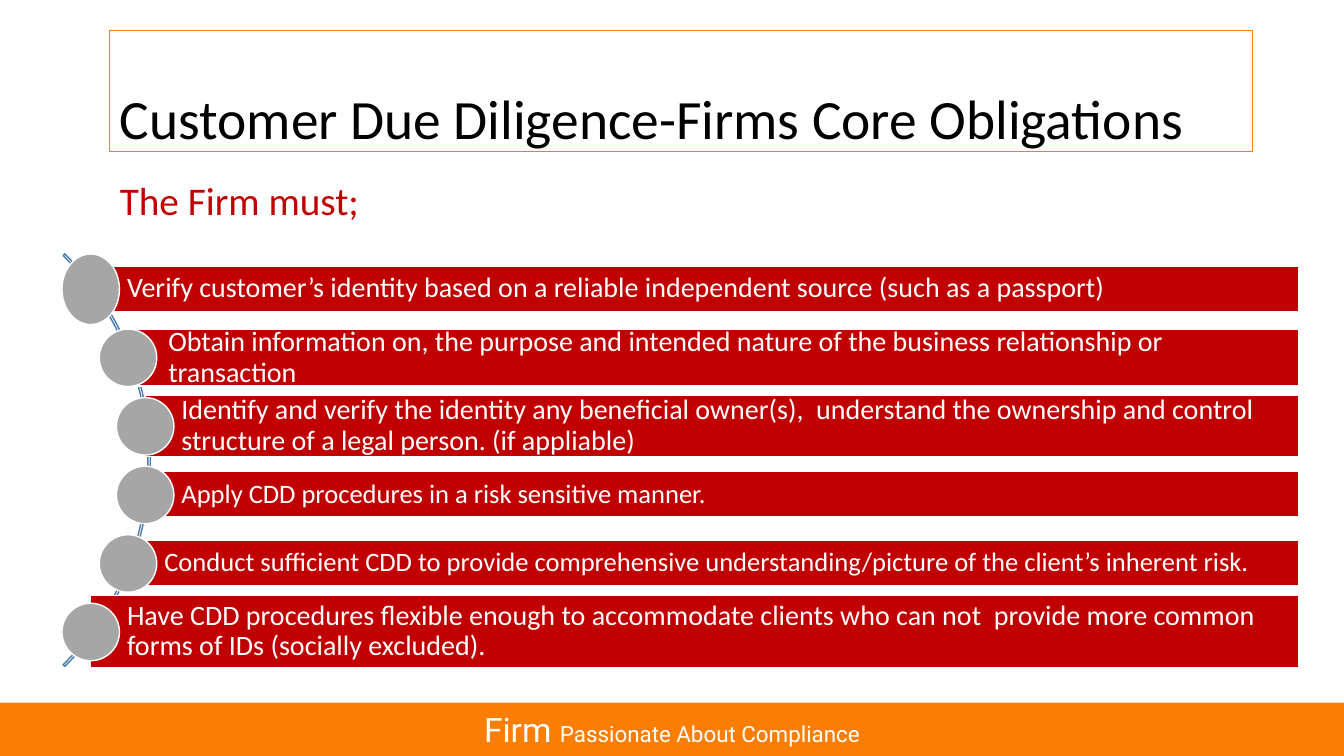
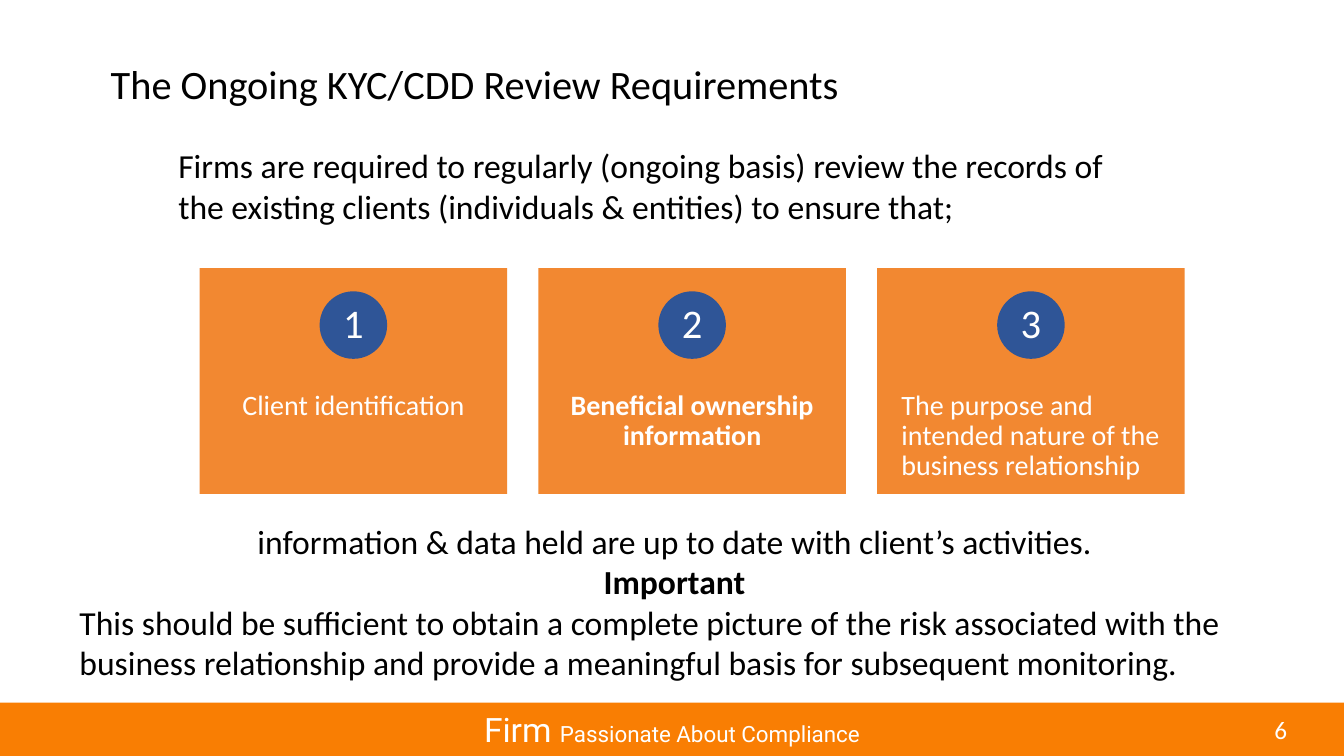
from lxml import etree
from pptx import Presentation
from pptx.dml.color import RGBColor
from pptx.enum.shapes import MSO_SHAPE
from pptx.enum.text import MSO_ANCHOR, PP_ALIGN
from pptx.oxml.ns import qn
from pptx.util import Inches, Pt

RECTANGLE, OVAL, ARC = MSO_SHAPE.RECTANGLE, MSO_SHAPE.OVAL, MSO_SHAPE.BLOCK_ARC
TOP, MIDDLE, BOTTOM = MSO_ANCHOR.TOP, MSO_ANCHOR.MIDDLE, MSO_ANCHOR.BOTTOM
LEFT, CENTER = PP_ALIGN.LEFT, PP_ALIGN.CENTER

COLORS = {
    "band": "F97E03", "bar": "C00000", "dot": "A6A6A6", "arc": "497CAB",
    "card": "F17C1B", "badge": "2F5597", "white": "FFFFFF", "black": "000000",
}
BODY_FONT, BRAND_FONT = "Calibri", "Roboto"
PAGE_WIDTH, PAGE_HEIGHT = 13.33, 7.5
BAND_TOP = 6.97
TEXT_INSETS = (0.1, 0.05, 0.1, 0.05)
BAR_INSETS = (0.36, 0.05, 0.06, 0.05)
CARD_INSETS = (0.24, 1.22, 0.24, 0)
NO_INSETS = (0, 0, 0, 0)

BAR_RIGHT = 12.88
DOT_SIZE, DOT_PITCH, FIRST_DOT_MIDDLE = 0.57, 0.68, 2.87
DOT_CENTERS = (0.9, 1.27, 1.44, 1.44, 1.27, 0.9)
OBLIGATIONS = [
    (0.9, 2.64, 0.45, 20, "Verify customer’s identity based on a reliable independent source (such as a passport)"),
    (1.31, 3.27, 0.56, 20, "Obtain information on, the purpose and intended nature of the business relationship or transaction"),
    (1.44, 3.92, 0.61, 20, "Identify and verify the identity any beneficial owner(s),  understand the ownership and control structure of a legal person. (if appliable)"),
    (1.44, 4.68, 0.45, 19, "Apply CDD procedures in a risk sensitive manner."),
    (1.27, 5.36, 0.45, 19, "Conduct sufficient CDD to provide comprehensive understanding/picture of the client’s inherent risk."),
    (0.9, 5.91, 0.71, 20, "Have CDD procedures flexible enough to accommodate clients who can not  provide more common forms of IDs (socially excluded)."),
]

CARD_LEFT, CARD_TOP, CARD_PITCH = 1.98, 2.66, 3.36
CARD_WIDTH, CARD_HEIGHT = 3.05, 2.24
BADGE_TOP, BADGE_SIZE = 2.89, 0.67
REVIEW_ITEMS = [
    ("Client identification", CENTER, False),
    ("Beneficial ownership information", CENTER, True),
    ("The purpose and intended nature of the business relationship", LEFT, False),
]


def rgb(name):
    return RGBColor.from_string(COLORS[name])


def set_frame(box, anchor=TOP, insets=TEXT_INSETS):
    frame = box.text_frame
    frame.word_wrap = True
    frame.vertical_anchor = anchor
    (frame.margin_left, frame.margin_top,
     frame.margin_right, frame.margin_bottom) = map(Inches, insets)
    return frame


def add_span(para, text, size, color="black", font=BODY_FONT, bold=False):
    span = para.add_run()
    span.text = text
    span.font.size = Pt(size)
    span.font.name = font
    span.font.bold = bold
    span.font.color.rgb = rgb(color)


def write(box, text, size, color="black", align=LEFT, spacing=1.0,
          anchor=TOP, insets=TEXT_INSETS, bold=False):
    para = set_frame(box, anchor, insets).paragraphs[0]
    para.alignment = align
    para.line_spacing = spacing
    add_span(para, text, size, color, bold=bold)


def add_text_box(page, left, top, width, height):
    return page.shapes.add_textbox(*map(Inches, (left, top, width, height)))


def add_box(page, kind, left, top, width, height, fill=None, line=None, line_width=1.0):
    box = page.shapes.add_shape(kind, *map(Inches, (left, top, width, height)))
    box.shadow.inherit = False
    if fill:
        box.fill.solid()
        box.fill.fore_color.rgb = rgb(fill)
    else:
        box.fill.background()
    if line:
        box.line.color.rgb = rgb(line)
        box.line.width = Pt(line_width)
    else:
        box.line.fill.background()
    return box


def set_opacity(box, percent):
    color = box.fill._xPr.find(qn("a:solidFill"))[0]
    etree.SubElement(color, qn("a:alpha")).set("val", str(percent * 1000))


def add_footer(page, number=None):
    band = add_box(page, RECTANGLE, 0, BAND_TOP, PAGE_WIDTH, PAGE_HEIGHT - BAND_TOP, "band")
    para = set_frame(band, MIDDLE).paragraphs[0]
    para.alignment = CENTER
    add_span(para, "Firm ", 24, "white", BRAND_FONT)
    add_span(para, "Passionate About Compliance", 16, "white", BRAND_FONT)
    if number:
        write(add_text_box(page, 12.54, 7.04, 0.36, 0.4), number, 18, "white")


def add_title(box, text, size, anchor, insets=TEXT_INSETS):
    write(box, text, size, spacing=0.9, anchor=anchor, insets=insets)


def add_obligation(page, index, left, top, height, size, text):
    bar = add_box(page, RECTANGLE, left, top, BAR_RIGHT - left, height, "bar", "white")
    write(bar, text, size, "white", spacing=0.9, anchor=MIDDLE, insets=BAR_INSETS)
    dot_height = DOT_SIZE if index else 0.7
    middle = FIRST_DOT_MIDDLE + index * DOT_PITCH
    add_box(page, OVAL, DOT_CENTERS[index] - DOT_SIZE / 2, middle - dot_height / 2,
            DOT_SIZE, dot_height, "dot", "white")


def add_card(page, index, text, align, bold):
    left = CARD_LEFT + index * CARD_PITCH
    card = add_box(page, RECTANGLE, left, CARD_TOP, CARD_WIDTH, CARD_HEIGHT, "card")
    set_opacity(card, 90)
    write(card, text, 20, "white", align, 0.9, TOP, CARD_INSETS, bold)
    badge = add_box(page, OVAL, left + (CARD_WIDTH - BADGE_SIZE) / 2, BADGE_TOP,
                    BADGE_SIZE, BADGE_SIZE, "badge")
    write(badge, str(index + 1), 29, "white", CENTER, 0.9, MIDDLE, NO_INSETS)


def build_obligations(page):
    title = add_box(page, RECTANGLE, 1.09, 0.3, 11.33, 1.2, line="band", line_width=0.75)
    add_title(title, "Customer Due Diligence-Firms Core Obligations", 39.6,
              BOTTOM, (0.1, 0, 0.1, 0))
    add_footer(page)
    write(add_text_box(page, 1.09, 1.7, 10.95, 0.57), "The Firm must;", 28, "bar")
    arc = add_box(page, ARC, -4.3, 1.67, 5.79, 5.79, line="arc")
    for position, value in enumerate((189, 27, 0.004)):
        arc.adjustments[position] = value
    for index, obligation in enumerate(OBLIGATIONS):
        add_obligation(page, index, *obligation)


def build_review(page):
    add_title(add_text_box(page, 1, 0.46, 11.33, 0.8),
              "The Ongoing KYC/CDD Review Requirements", 28.8, MIDDLE)
    write(add_text_box(page, 1.67, 1.39, 9.65, 0.91),
          "Firms are required to regularly (ongoing basis) review the records of "
          "the existing clients (individuals & entities) to ensure that;", 24)
    for index, item in enumerate(REVIEW_ITEMS):
        add_card(page, index, *item)
    add_footer(page, "6")
    frame = set_frame(add_text_box(page, 0.69, 5.12, 12, 1.75))
    closing = [
        ("information & data held are up to date with client’s activities.", CENTER, False),
        ("Important", CENTER, True),
        ("This should be sufficient to obtain a complete picture of the risk associated with the "
         "business relationship and provide a meaningful basis for subsequent monitoring.", LEFT, False),
    ]
    for index, (text, align, bold) in enumerate(closing):
        para = frame.add_paragraph() if index else frame.paragraphs[0]
        para.alignment = align
        add_span(para, text, 24, bold=bold)


def main():
    deck = Presentation()
    deck.slide_width, deck.slide_height = Inches(PAGE_WIDTH), Inches(PAGE_HEIGHT)
    blank = deck.slide_layouts[6]
    for build in (build_obligations, build_review):
        build(deck.slides.add_slide(blank))
    deck.save("out.pptx")


if __name__ == "__main__":
    main()
